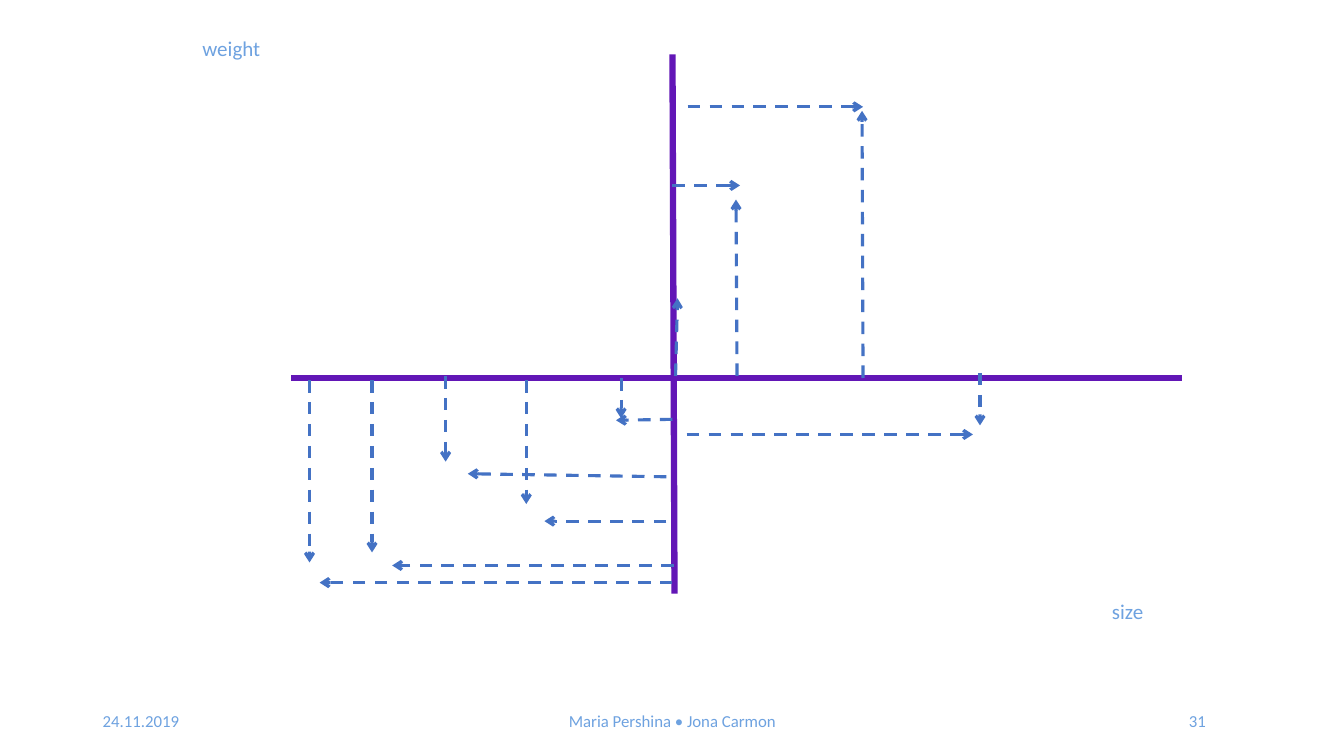
"""Build a slide with weight and size axes and dashed projection arrows."""
import pptx
import pptx.util
import pptx.dml.color
import pptx.enum.dml
import pptx.enum.shapes
import pptx.enum.text
from lxml import etree
from pptx.oxml.ns import qn

COLORS = {"axis": "6216B6", "arrow": "4472C4", "text": "6EA2E0"}
FONT = "Calibri"
SLIDE_WIDTH, SLIDE_HEIGHT = 13.33, 7.5
GRID_ROWS = 22.5
CELL = SLIDE_HEIGHT / GRID_ROWS

ALIGN = pptx.enum.text.PP_ALIGN
ANCHOR = pptx.enum.text.MSO_ANCHOR

# Lines: start column, start row, end column, end row
AXES = [(35.16, 11.25, 8.67, 11.25), (20.01, 1.62, 20.07, 17.67)]
ARROWS_FROM_SIZE_AXIS = [
    (25.68, 11.25, 25.65, 3.3),
    (21.93, 11.19, 21.9, 5.94),
    (29.16, 11.1, 29.16, 12.66),
    (18.48, 11.25, 18.48, 12.45),
    (13.26, 11.19, 13.26, 13.74),
    (15.66, 11.31, 15.66, 15),
    (11.07, 11.31, 11.07, 16.44),
    (9.21, 11.31, 9.21, 16.74),
    (20.1, 11.19, 20.16, 8.88),
]
ARROWS_FROM_WEIGHT_AXIS = [
    (20.46, 3.18, 25.68, 3.18),
    (20.01, 5.52, 22.02, 5.52),
    (19.83, 14.19, 13.92, 14.1),
    (20.04, 16.83, 11.67, 16.83),
    (19.83, 15.51, 16.2, 15.51),
    (20.01, 17.34, 9.51, 17.34),
    (20.01, 12.48, 18.33, 12.51),
    (20.43, 12.93, 28.95, 12.93),
]
FOOTER_ROW, FOOTER_HEIGHT = 20.85, 1.2
FOOTERS = [
    ("24.11.2019", 2.76, 9, ALIGN.LEFT),
    ("Maria Pershina • Jona Carmon", 13.26, 13.5, ALIGN.CENTER),
    ("31", 27.18, 9, ALIGN.RIGHT),
]
LABEL_HEIGHT = 1.05
LABELS = [("size", 32.79, 17.67, 1.83), ("weight", 5.73, 0.9, 2.52)]


def cells(*counts):
    return [pptx.util.Inches(count * CELL) for count in counts]


def color(name):
    return pptx.dml.color.RGBColor.from_string(COLORS[name])


def add_line(slide, ends, color_name, width):
    connector = slide.shapes.add_connector(
        pptx.enum.shapes.MSO_CONNECTOR.STRAIGHT, *cells(*ends))
    connector.line.color.rgb = color(color_name)
    connector.line.width = pptx.util.Pt(width)
    etree.SubElement(connector._element.spPr, qn("a:effectLst"))
    return connector


def add_arrow(slide, ends):
    connector = add_line(slide, ends, "arrow", 2.25)
    connector.line.dash_style = pptx.enum.dml.MSO_LINE.DASH
    etree.SubElement(connector.line._get_or_add_ln(), qn("a:tailEnd"), type="arrow")


def add_text(slide, text, box, size, alignment, anchor):
    frame = slide.shapes.add_textbox(*cells(*box)).text_frame
    frame.word_wrap = True
    frame.vertical_anchor = anchor
    paragraph = frame.paragraphs[0]
    paragraph.text = text
    paragraph.alignment = alignment
    paragraph.font.name = FONT
    paragraph.font.size = pptx.util.Pt(size)
    paragraph.font.color.rgb = color("text")


def main():
    presentation = pptx.Presentation()
    presentation.slide_width = pptx.util.Inches(SLIDE_WIDTH)
    presentation.slide_height = pptx.util.Inches(SLIDE_HEIGHT)
    slide = presentation.slides.add_slide(presentation.slide_layouts[6])
    for ends in AXES:
        add_line(slide, ends, "axis", 4.5)
    for text, column, width, alignment in FOOTERS:
        box = (column, FOOTER_ROW, width, FOOTER_HEIGHT)
        add_text(slide, text, box, 12, alignment, ANCHOR.MIDDLE)
    for text, column, row, width in LABELS:
        box = (column, row, width, LABEL_HEIGHT)
        add_text(slide, text, box, 15, ALIGN.LEFT, ANCHOR.TOP)
    for ends in ARROWS_FROM_SIZE_AXIS + ARROWS_FROM_WEIGHT_AXIS:
        add_arrow(slide, ends)
    presentation.save("out.pptx")


if __name__ == "__main__":
    main()
